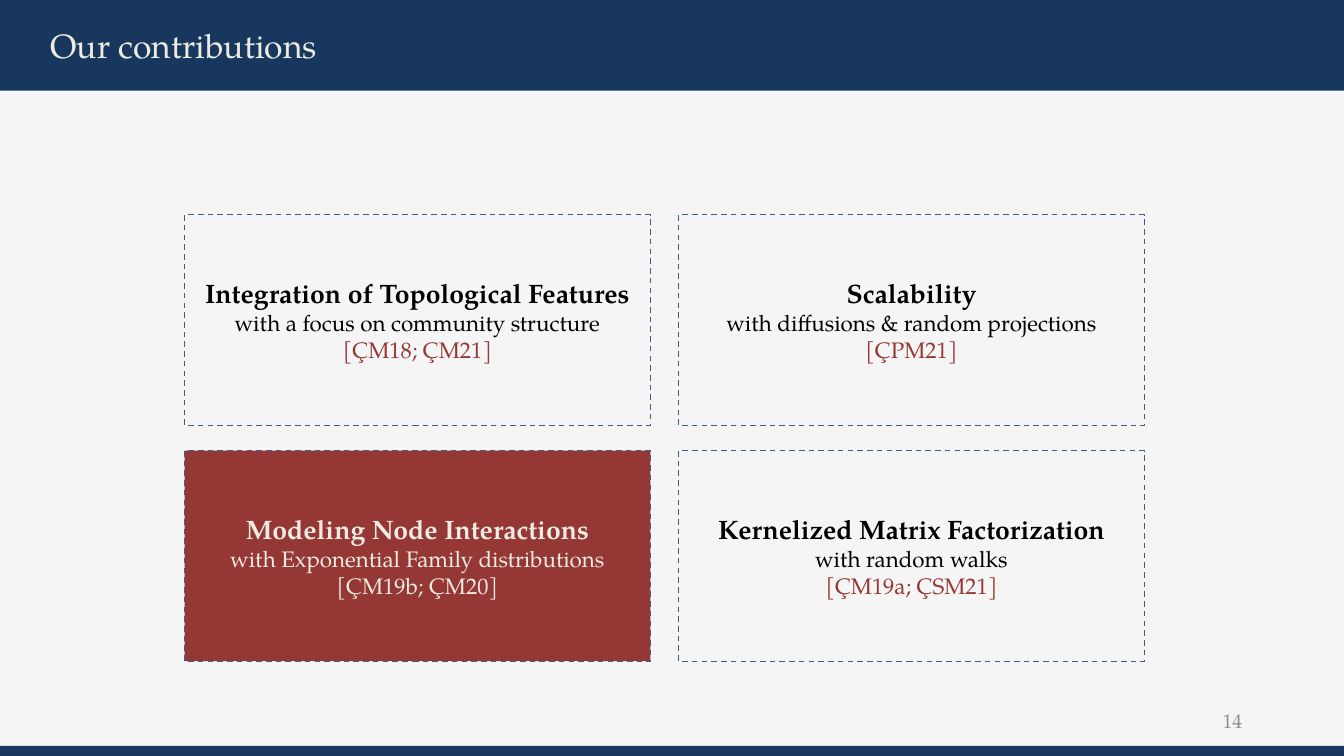
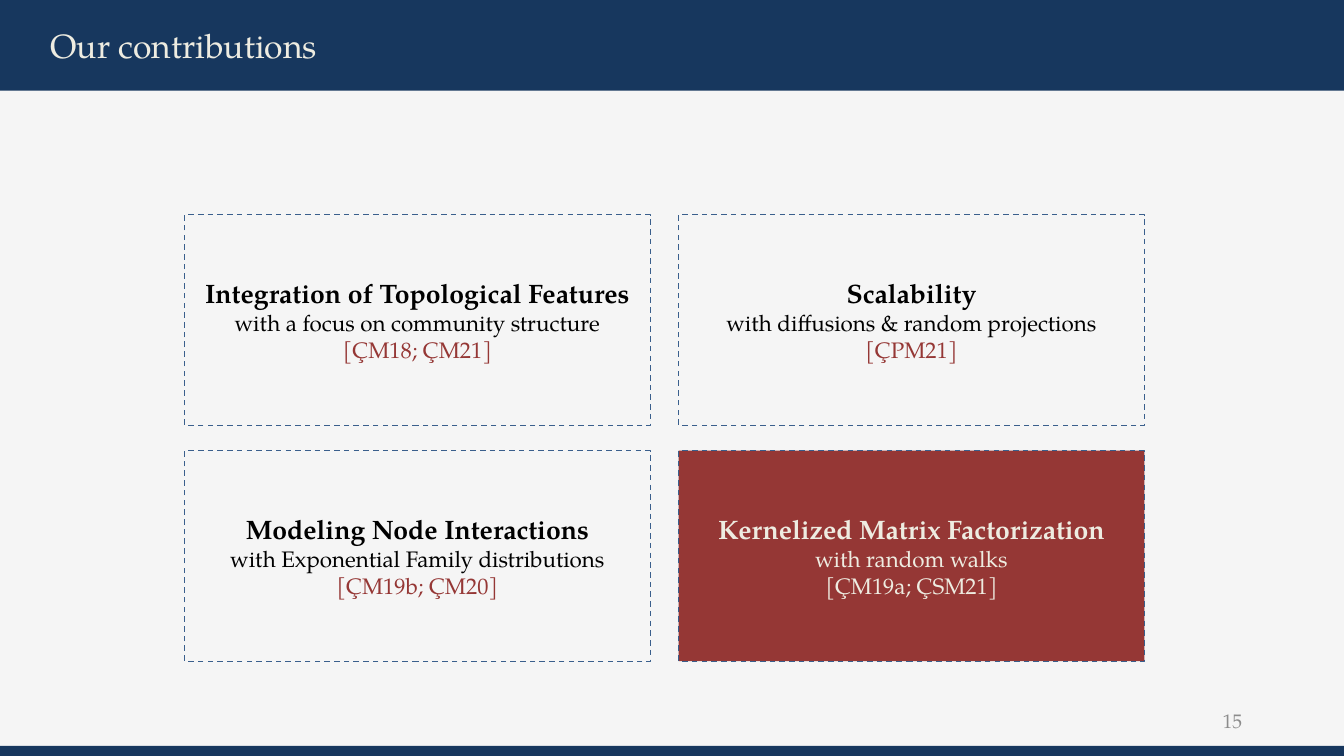
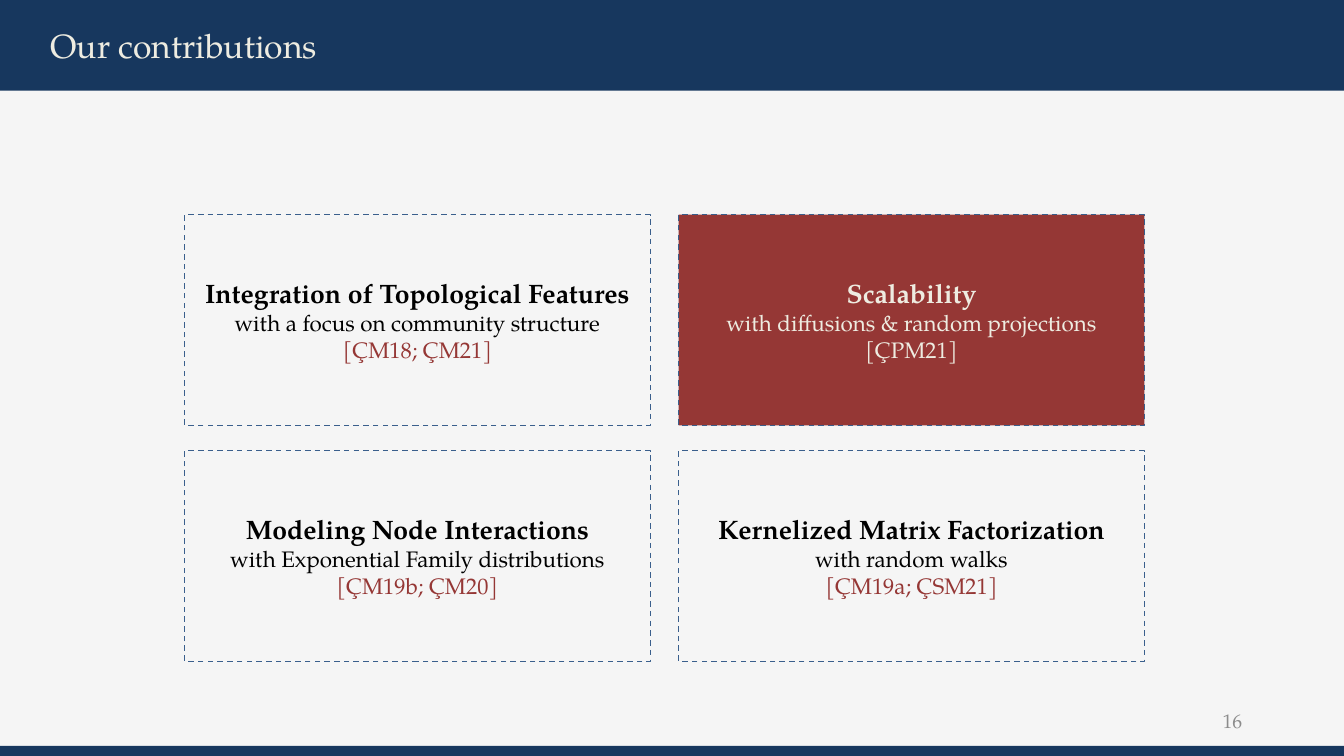
from pptx import Presentation
from pptx.dml.color import RGBColor
from pptx.enum.dml import MSO_LINE_DASH_STYLE as Dash
from pptx.enum.shapes import MSO_SHAPE as Shape
from pptx.enum.text import MSO_ANCHOR as Anchor, PP_ALIGN as Align
from pptx.util import Inches, Pt

# Shared style
FONT = "TeX Gyre Pagella"
NAVY, BLUE, RED = "17375E", "3A5F8C", "953735"
CREAM, PAPER, BLACK, GRAY = "EEECE1", "F5F5F5", "000000", "8C8C8C"
WIDTH, HEIGHT = 13.33, 7.5

# Card grid: two columns, equal gaps
LEFT, TOP = 1.83, 2.13
CARD_W, CARD_H = 4.62, 2.09
GAP_X, GAP_Y = 0.28, 0.25
COLS = 2

# Heading, focus, references
CARDS = [
    ("Integration of Topological Features",
     "with a focus on community structure", "[ÇM18; ÇM21]"),
    ("Scalability",
     "with diffusions & random projections", "[ÇPM21]"),
    ("Modeling Node Interactions",
     "with Exponential Family distributions", "[ÇM19b; ÇM20]"),
    ("Kernelized Matrix Factorization",
     "with random walks", "[ÇM19a; ÇSM21]"),
]

# Page number and index of the highlighted card
PAGES = [(14, 2), (15, 3), (16, 1)]


def color(code):
    return RGBColor.from_string(code)


def style(para, size, code, align, bold=False):
    para.alignment = align
    for run in para.runs:
        font = run.font
        font.name, font.size, font.bold = FONT, Pt(size), bold
        font.color.rgb = color(code)


def add_rect(slide, x, y, w, h, fill=None):
    rect = slide.shapes.add_shape(
        Shape.RECTANGLE, Inches(x), Inches(y), Inches(w), Inches(h))
    rect.shadow.inherit = False
    rect.line.fill.background()
    if fill:
        rect.fill.solid()
        rect.fill.fore_color.rgb = color(fill)
    else:
        rect.fill.background()
    rect.text_frame.vertical_anchor = Anchor.MIDDLE
    return rect


def add_frame(slide, title, page):
    # Title band
    frame = add_rect(slide, 0, 0, WIDTH, 0.9, NAVY).text_frame
    frame.margin_left = Inches(0.5)
    frame.text = title
    style(frame.paragraphs[0], 24, CREAM, Align.LEFT)
    # Footer band and page number
    add_rect(slide, 0, HEIGHT - 0.1, WIDTH, 0.1, NAVY)
    box = slide.shapes.add_textbox(
        Inches(9.42), Inches(6.95), Inches(3), Inches(0.4))
    frame = box.text_frame
    frame.word_wrap = True
    frame.vertical_anchor = Anchor.MIDDLE
    frame.text = str(page)
    style(frame.paragraphs[0], 14, GRAY, Align.RIGHT)


def add_card(slide, index, lines, active):
    row, col = divmod(index, COLS)
    card = add_rect(slide, LEFT + col * (CARD_W + GAP_X),
                    TOP + row * (CARD_H + GAP_Y), CARD_W, CARD_H,
                    RED if active else None)
    card.line.color.rgb = color(BLUE)
    card.line.width = Pt(1)
    card.line.dash_style = Dash.DASH
    frame = card.text_frame
    frame.text = "\n".join(lines)
    head, focus, refs = frame.paragraphs
    style(head, 19, CREAM if active else BLACK, Align.CENTER, bold=True)
    style(focus, 16, CREAM if active else BLACK, Align.CENTER)
    style(refs, 16, CREAM if active else RED, Align.CENTER)


def main():
    deck = Presentation()
    deck.slide_width, deck.slide_height = Inches(WIDTH), Inches(HEIGHT)
    back = deck.slide_master.background.fill
    back.solid()
    back.fore_color.rgb = color(PAPER)
    for page, active in PAGES:
        slide = deck.slides.add_slide(deck.slide_layouts[6])
        add_frame(slide, "Our contributions", page)
        for index, lines in enumerate(CARDS):
            add_card(slide, index, lines, index == active)
    deck.save("out.pptx")


if __name__ == "__main__":
    main()
